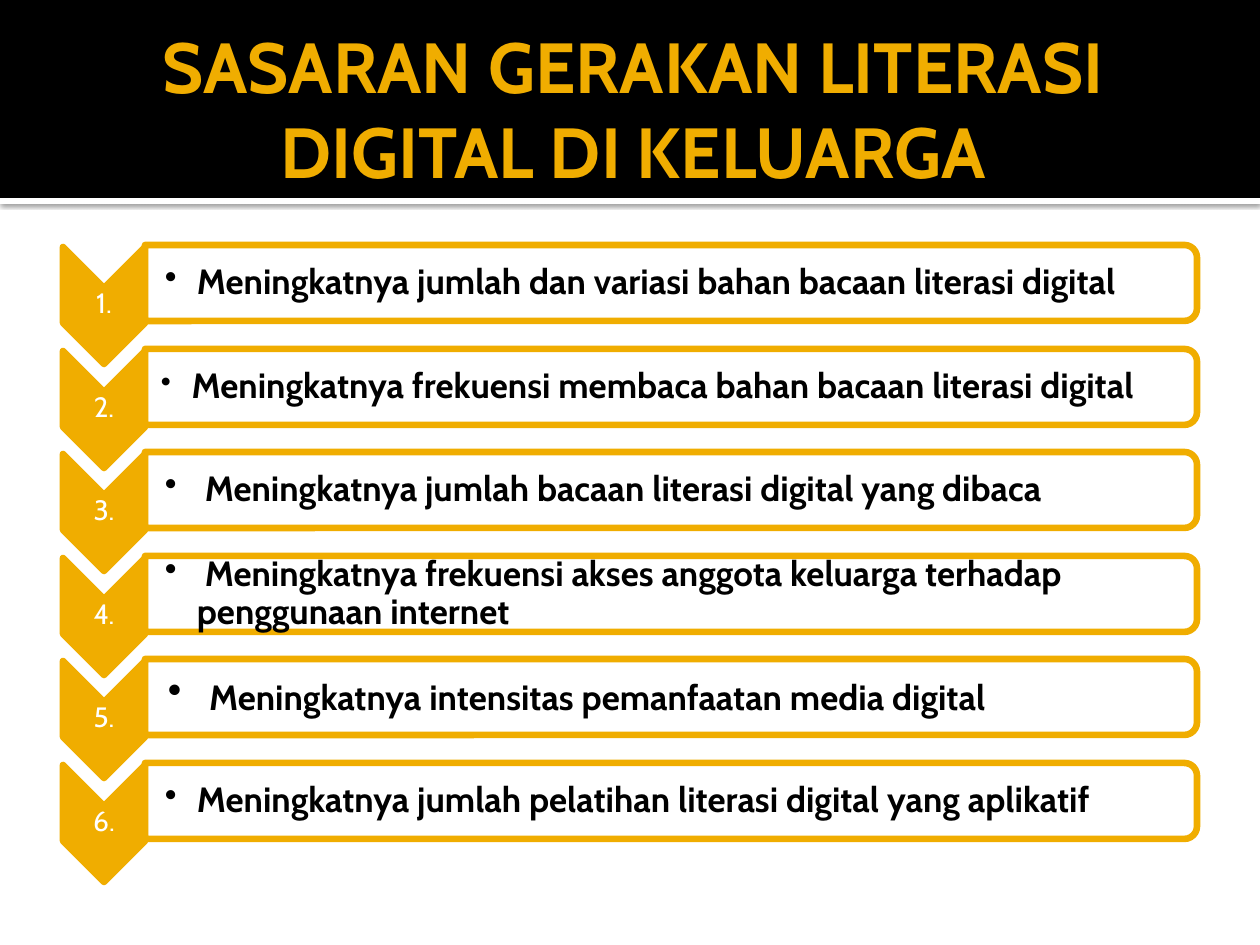
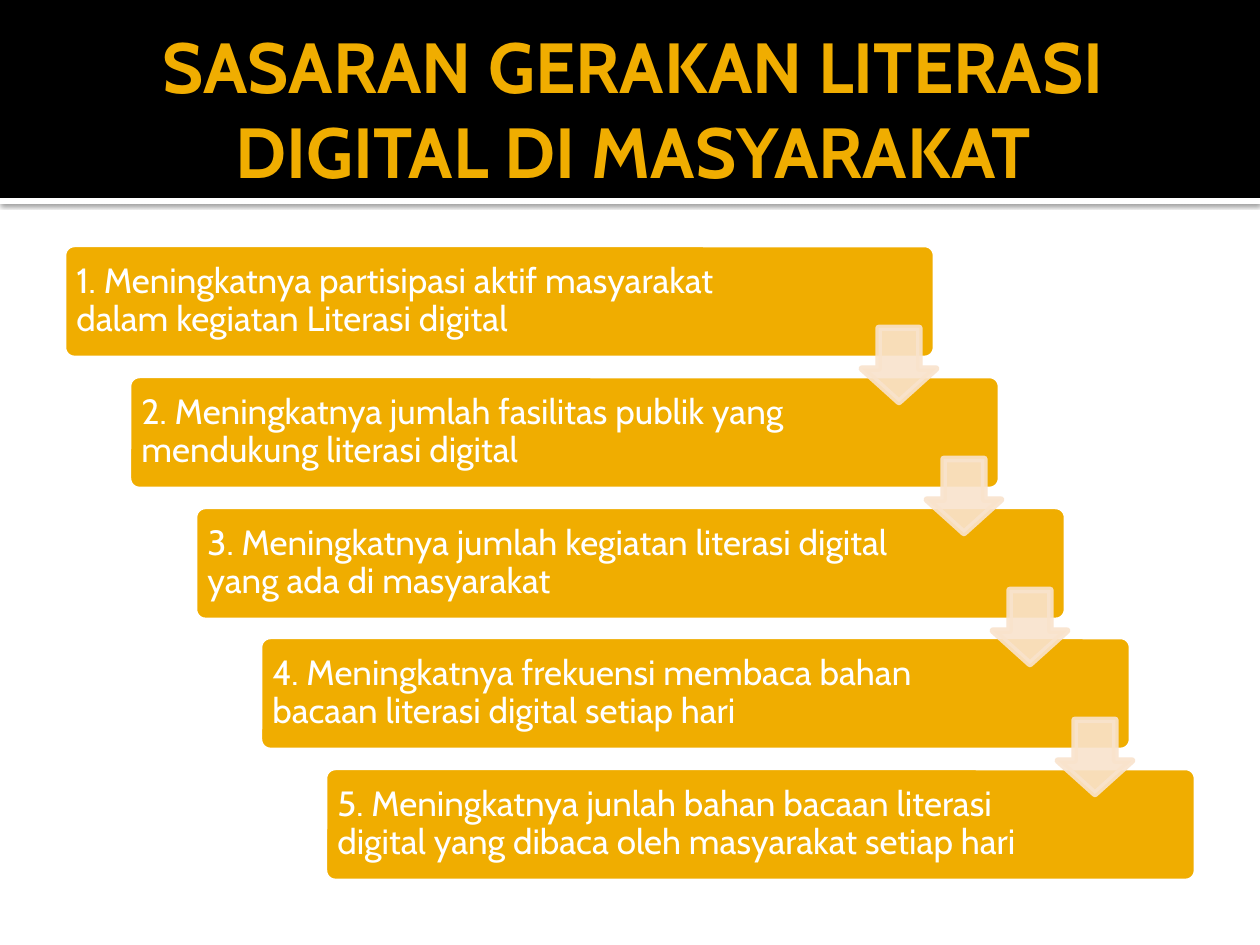
from dataclasses import dataclass

from lxml import etree
from pptx import Presentation
from pptx.dml.color import RGBColor
from pptx.enum.shapes import MSO_SHAPE
from pptx.enum.text import MSO_ANCHOR, PP_ALIGN
from pptx.oxml.ns import qn
from pptx.util import Emu, Pt

RECT = MSO_SHAPE.RECTANGLE
CHEVRON = MSO_SHAPE.CHEVRON
ROUND_END = MSO_SHAPE.ROUND_2_SAME_RECTANGLE
ROUND_RECT = MSO_SHAPE.ROUNDED_RECTANGLE
DOWN_ARROW = MSO_SHAPE.DOWN_ARROW
MIDDLE = MSO_ANCHOR.MIDDLE
LEFT, CENTER = PP_ALIGN.LEFT, PP_ALIGN.CENTER

PX_PER_INCH = 126
SLIDE_W, SLIDE_H = 1260, 945


@dataclass(frozen=True)
class Theme:
    font: str = "Cabin"
    gold: str = "F0AD00"
    cream: str = "F9E3CC"
    black: str = "000000"
    white: str = "FFFFFF"
    title_size: float = 40.5
    body_size: float = 20
    number_size: float = 16
    line_width: float = 3.78
    tight: float = 0.9
    opacity: int = 90


THEME = Theme()

# Lead: size of a space run before the text (None for no such run)
# Fields: lines, lead, left inset, hanging indent
FAMILY_GOALS = [
    (["Meningkatnya jumlah dan variasi bahan bacaan literasi digital"], None, 20, 32),
    (["Meningkatnya frekuensi membaca bahan bacaan literasi digital"], 17, 16, 24),
    ([" Meningkatnya jumlah bacaan literasi digital yang dibaca"], None, 20, 32),
    ([" Meningkatnya frekuensi akses anggota keluarga terhadap",
      "penggunaan internet"], None, 20, 32),
    (["Meningkatnya intensitas pemanfaatan media digital"], 23, 23, 32),
    (["Meningkatnya jumlah pelatihan literasi digital yang aplikatif"], None, 20, 32),
]

COMMUNITY_GOALS = [
    "Meningkatnya partisipasi aktif masyarakat dalam kegiatan Literasi digital",
    "Meningkatnya jumlah fasilitas publik yang mendukung literasi digital",
    "Meningkatnya jumlah kegiatan literasi digital yang ada di masyarakat",
    "Meningkatnya frekuensi membaca bahan bacaan literasi digital setiap hari",
    "Meningkatnya junlah bahan bacaan literasi digital yang dibaca oleh masyarakat setiap hari",
]


# Basic helpers
def px(length):
    return Emu(round(length * 914400 / PX_PER_INCH))


def rgb(color):
    return RGBColor.from_string(color)


def spread(first, last, count):
    """Evenly spaced whole positions from first to last."""
    return [round(first + i * (last - first) / (count - 1)) for i in range(count)]


def add_block(slide, preset, box, fill, line=None):
    block = slide.shapes.add_shape(preset, *map(px, box))
    block.shadow.inherit = False
    block.fill.solid()
    block.fill.fore_color.rgb = rgb(fill)
    if line:
        block.line.color.rgb = rgb(line)
        block.line.width = Pt(THEME.line_width)
    else:
        block.line.fill.background()
    return block


def add_turned_block(slide, preset, box, fill, line):
    """Block turned by 90 degrees that covers the given box."""
    x, y, w, h = box
    shift = (w - h) / 2
    block = add_block(slide, preset, (x + shift, y - shift, h, w), fill, line)
    block.rotation = 90
    return block


def make_translucent(block, with_line=False):
    paths = ["p:spPr/a:solidFill/a:srgbClr"]
    if with_line:
        paths.append("p:spPr/a:ln/a:solidFill/a:srgbClr")
    for path_to_color in paths:
        for color in block._element.xpath(path_to_color):
            etree.SubElement(color, qn("a:alpha"), val=str(THEME.opacity * 1000))


def start_text(holder, insets, align=LEFT, spacing=None):
    """Prepare the text frame and return its paragraph."""
    frame = holder.text_frame
    frame.word_wrap = True
    frame.vertical_anchor = MIDDLE
    (frame.margin_left, frame.margin_top,
     frame.margin_right, frame.margin_bottom) = map(px, insets)
    paragraph = frame.paragraphs[0]
    paragraph.alignment = align
    paragraph.line_spacing = spacing
    return paragraph


def add_run(paragraph, text, size, color, bold=False):
    run = paragraph.add_run()
    run.text = text
    run.font.name = THEME.font
    run.font.size = Pt(size)
    run.font.bold = bold
    run.font.color.rgb = rgb(color)


def add_bullet(paragraph, indent):
    props = paragraph._p.get_or_add_pPr()
    props.set("marL", str(px(indent)))
    props.set("indent", str(-px(indent)))
    etree.SubElement(props, qn("a:buChar"), char="•")


# Shared header
def add_header(slide, title):
    strip = add_block(slide, RECT, (0, 198, SLIDE_W, 6), THEME.white)
    effects = strip._element.spPr.find(qn("a:effectLst"))
    shadow = etree.SubElement(effects, qn("a:outerShdw"), blurRad=str(Pt(2.5)),
                              dist=str(Pt(0.8)), dir="5400000", rotWithShape="0")
    color = etree.SubElement(shadow, qn("a:srgbClr"), val=THEME.black)
    etree.SubElement(color, qn("a:alpha"), val="60000")

    add_block(slide, RECT, (0, 0, SLIDE_W, 198), THEME.black)
    heading = slide.shapes.add_textbox(*map(px, (63, 21, 1134, 173)))
    paragraph = start_text(heading, (13, 6, 6, 6), CENTER)
    add_run(paragraph, title, THEME.title_size, THEME.gold, bold=True)


# Numbered row: chevron on the left, outlined panel on the right
def add_goal_row(slide, box, number, goal):
    x, y, w, h = box
    lines, lead, inset, indent = goal
    chevron_w = 82

    add_turned_block(slide, CHEVRON, (x, y + 2, chevron_w, h), THEME.gold, THEME.gold)
    label = slide.shapes.add_textbox(*map(px, (x, y + 42, chevron_w, 35)))
    paragraph = start_text(label, (1, 1, 1, 1), CENTER, THEME.tight)
    add_run(paragraph, f"{number}.", THEME.number_size, THEME.white)

    panel_x, panel_w = x + chevron_w, w - chevron_w
    panel = add_turned_block(slide, ROUND_END, (panel_x, y, panel_w, 76),
                             THEME.white, THEME.gold)
    make_translucent(panel)
    body = slide.shapes.add_textbox(*map(px, (panel_x, y + 4, panel_w - 4, 69)))
    paragraph = start_text(body, (inset, 1, 1, 1), LEFT, THEME.tight)
    add_bullet(paragraph, indent)
    if lead:
        add_run(paragraph, " ", lead, THEME.black)
    for i, line in enumerate(lines):
        if i:
            paragraph.add_line_break()
        add_run(paragraph, line, THEME.body_size, THEME.black, bold=True)


def build_family_slide(slide, box):
    add_header(slide, "SASARAN GERAKAN LITERASI DIGITAL DI KELUARGA")
    x, y, w, h = box
    row_h = 117
    tops = spread(y, y + h - row_h, len(FAMILY_GOALS))
    for number, (top, goal) in enumerate(zip(tops, FAMILY_GOALS), 1):
        add_goal_row(slide, (x, top, w, row_h), number, goal)


# Staircase of steps with an arrow from each step to the next
def build_community_slide(slide, box):
    add_header(slide, "SASARAN GERAKAN LITERASI DIGITAL DI MASYARAKAT")
    x, y, w, h = box
    step_w, step_h, arrow = 873, 115, 74
    count = len(COMMUNITY_GOALS)
    corners = list(zip(spread(x, x + w - step_w, count),
                       spread(y, y + h - step_h, count)))

    for number, ((left, top), goal) in enumerate(zip(corners, COMMUNITY_GOALS), 1):
        step = add_block(slide, ROUND_RECT, (left, top, step_w, step_h),
                         THEME.gold, THEME.white)
        step.adjustments[0] = 0.1
        paragraph = start_text(step, (10, 10, 150, 10), LEFT, THEME.tight)
        add_run(paragraph, f"{number}. {goal}", THEME.body_size, THEME.white)

    for left, top in corners[:-1]:
        pointer = add_block(slide, DOWN_ARROW,
                            (left + step_w - arrow, top + 84, arrow, arrow),
                            THEME.cream, THEME.cream)
        pointer.adjustments[0] = 0.45
        pointer.adjustments[0], pointer.adjustments[1] = 0.55, 0.45
        make_translucent(pointer, with_line=True)


def main():
    deck = Presentation()
    deck.slide_width, deck.slide_height = px(SLIDE_W), px(SLIDE_H)
    blank = deck.slide_layouts[6]
    build_family_slide(deck.slides.add_slide(blank), (63, 245, 1134, 635))
    build_community_slide(deck.slides.add_slide(blank), (63, 244, 1134, 638))
    deck.save("out.pptx")


if __name__ == "__main__":
    main()
